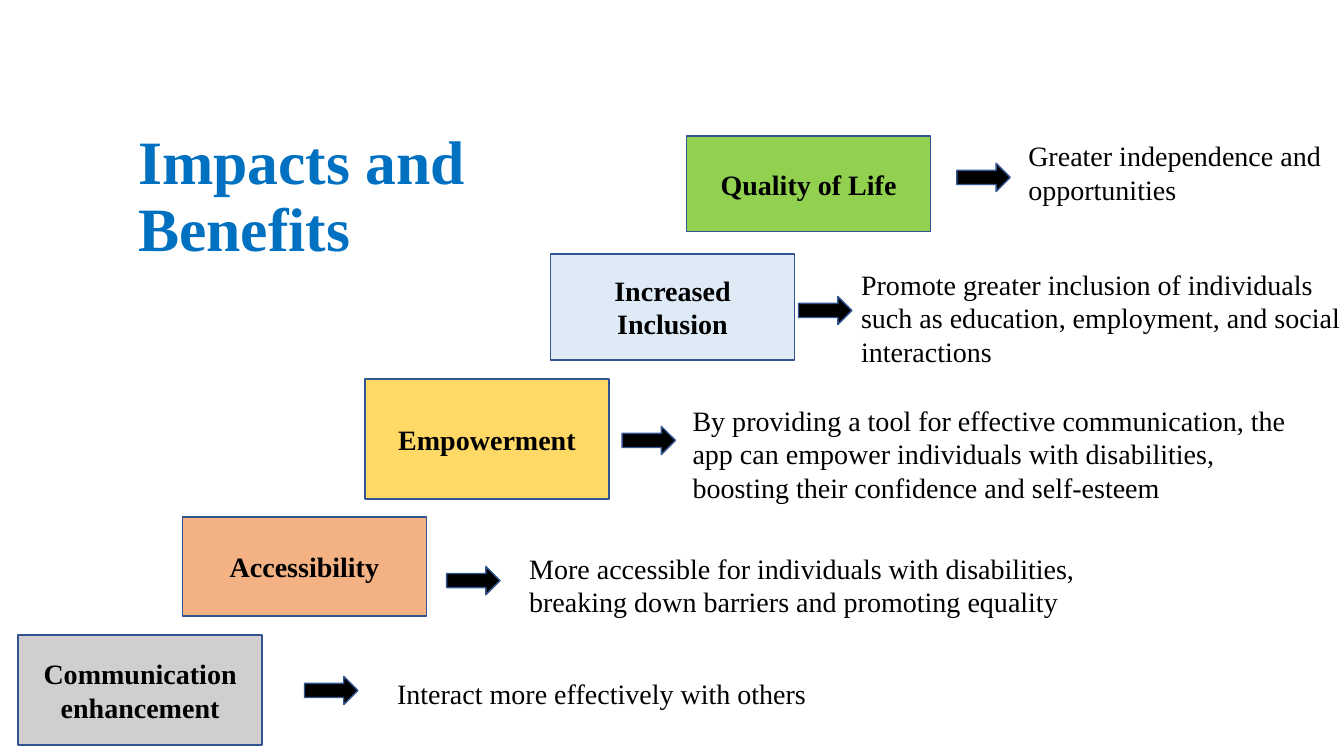
from lxml.etree import SubElement
from pptx import Presentation
from pptx.dml.color import RGBColor as RGB
from pptx.enum.shapes import MSO_SHAPE as Form
from pptx.enum.text import MSO_ANCHOR as Anchor, MSO_AUTO_SIZE as Fit, PP_ALIGN as Align
from pptx.oxml.ns import qn
from pptx.util import Inches, Pt

HUES = {"title": "0070C0", "text": "000000", "line": "325491", "grey": "D0CECE",
        "orange": "F4B183", "gold": "FFD966", "blue": "DEEBF7", "green": "92D050"}

STEPS = [
    ("Communication enhancement", "grey", (0.18, 6.3, 1.09), (3.02, 6.71),
     "Interact more effectively with others", (3.84, 6.66, 6.17, 0.44)),
    ("Accessibility", "orange", (1.81, 5.13, 0.98), (4.43, 5.62),
     "More accessible for individuals with disabilities, breaking down barriers "
     "and promoting equality", (5.15, 5.42, 5.97, 0.77)),
    ("Empowerment", "gold", (3.62, 3.76, 1.19), (6.17, 4.23),
     "By providing a tool for effective communication, the app can empower individuals "
     "with disabilities, boosting their confidence and self-esteem", (6.77, 3.95, 6.31, 1.11)),
    ("Increased Inclusion", "blue", (5.46, 2.52, 1.05), (7.92, 2.94),
     "Promote greater inclusion of individuals such as education, employment, "
     "and social interactions", (8.44, 2.6, 5.07, 1.11)),
    ("Quality of Life", "green", (6.81, 1.35, 0.95), (9.49, 1.62),
     "Greater independence and opportunities", (10.1, 1.33, 3.69, 0.77)),
]


class Stair:
    """Draws the staircase of benefits on one slide."""

    font = {"name": "Times New Roman", "size": Pt(20), "bold": False}

    def __init__(self, deck):
        self.slide = deck.slides.add_slide(deck.slide_layouts[1])
        self.shapes = self.slide.shapes

    def label(self, shape, text, hue="text", anchor=Anchor.TOP, para=None, **font):
        frame = shape.text_frame
        frame.text = text
        line = frame.paragraphs[0]
        look = {"word_wrap": True, "auto_size": Fit.NONE, "vertical_anchor": anchor}
        flow = {"alignment": Align.LEFT, "space_before": Pt(0), **(para or {})}
        for item, style in ((frame, look), (line, flow), (line.runs[0].font, {**self.font, **font})):
            for key, value in style.items():
                setattr(item, key, value)
        line.runs[0].font.color.rgb = RGB.from_string(HUES[hue])
        return line

    def place(self, shape, spot):
        for key, value in zip(("left", "top", "width", "height"), spot):
            setattr(shape, key, Inches(value))
        return shape

    def title(self, text, spot):
        self.label(self.place(self.shapes.title, spot), text, "title", Anchor.MIDDLE,
                   {"line_spacing": 0.9}, size=Pt(44), bold=True)

    def body(self, text, spot):
        line = self.label(self.place(self.slide.placeholders[1], spot), text)
        props = line._p.get_or_add_pPr()
        for key in ("marL", "indent"):
            props.set(key, "0")
        SubElement(props, qn("a:buNone"))

    def note(self, text, spot):
        self.label(self.shapes.add_textbox(*map(Inches, spot)), text)

    def block(self, form, spot, hue):
        shape = self.shapes.add_shape(form, *map(Inches, spot))
        shape.shadow.inherit = False
        shape.fill.solid()
        shape.fill.fore_color.rgb = RGB.from_string(HUES[hue])
        shape.line.color.rgb = RGB.from_string(HUES["line"])
        shape.line.width = Pt(1)
        return shape

    def step(self, text, hue, spot):
        left, top, height = spot
        box = self.block(Form.RECTANGLE, (left, top, 2.42, height), hue)
        self.label(box, text, anchor=Anchor.MIDDLE, para={"alignment": Align.CENTER}, bold=True)

    def arrow(self, spot):
        self.block(Form.RIGHT_ARROW, (*spot, 0.53, 0.28), "text")


def main():
    deck = Presentation()
    deck.slide_width, deck.slide_height = Inches(13.33), Inches(7.5)
    stair = Stair(deck)
    stair.title("Impacts and Benefits", (1.27, 1.17, 3.85, 1.59))
    for name, hue, spot, tip, text, area in STEPS:
        stair.step(name, hue, spot)
        stair.arrow(tip)
        tell = stair.body if name == "Increased Inclusion" else stair.note
        tell(text, area)
    deck.save("out.pptx")


if __name__ == "__main__":
    main()
